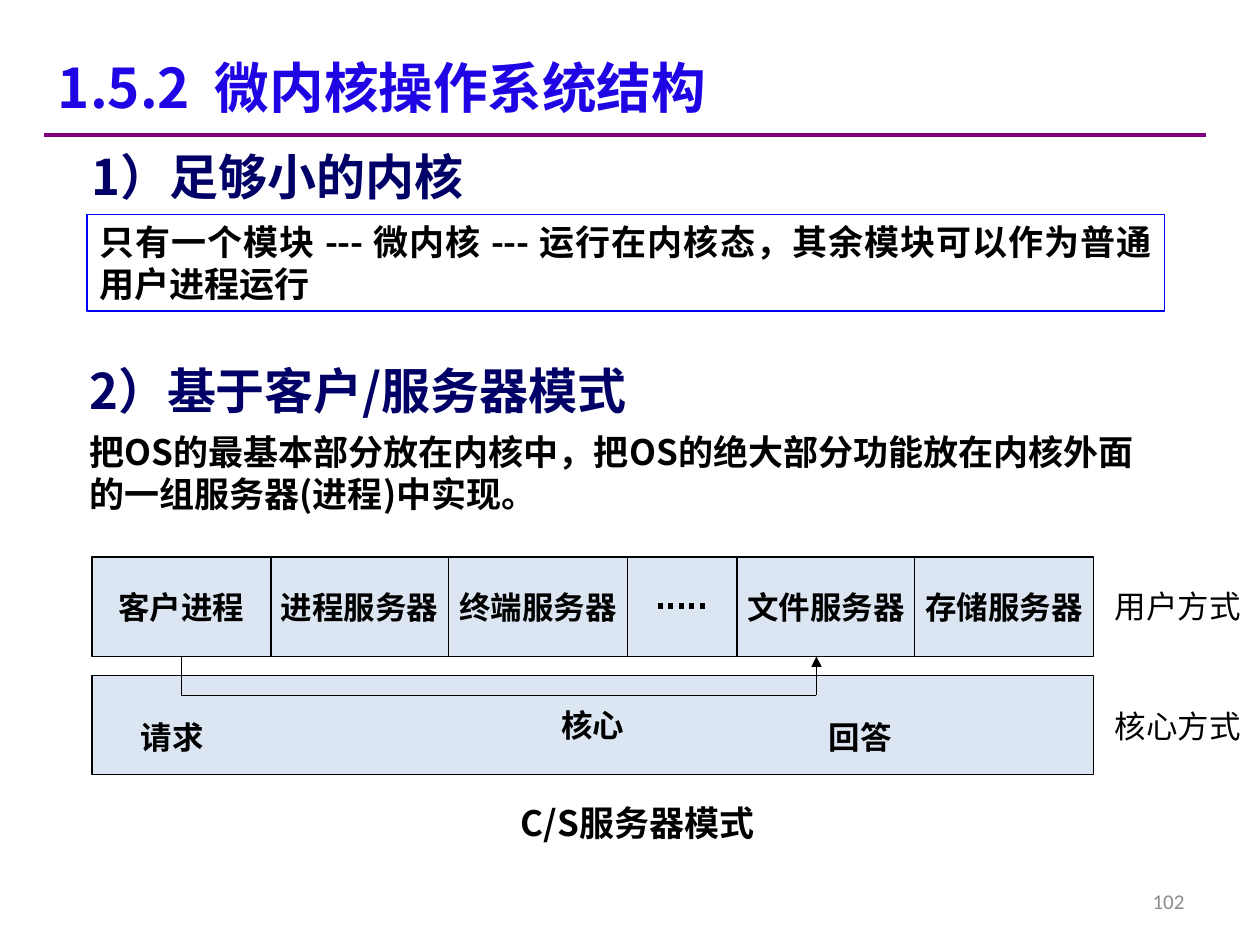
from itertools import pairwise

from lxml import etree
from pptx import Presentation
from pptx import util as u
from pptx.dml.color import RGBColor
from pptx.enum import dml, shapes, text
from pptx.oxml.ns import qn

PX = u.Inches(1) // 100  # 100 px to the inch
COLORS = {
    "title": "1F05E3",
    "heading": "000066",
    "frame": "0000FF",
    "rule": "800080",
    "box": "DCE6F2",
    "ink": "000000",
    "number": "8C8C8C",
}
CJK = "Noto Sans CJK SC"
ALIGN = text.PP_ALIGN
MIDDLE = text.MSO_ANCHOR.MIDDLE


def write(shape, words, size=18, font=CJK, color="ink", bold=True,
          align=ALIGN.LEFT, anchor=text.MSO_ANCHOR.TOP, wrap=True):
    frame = shape.text_frame
    frame.auto_size = text.MSO_AUTO_SIZE.NONE
    frame.word_wrap = wrap
    frame.vertical_anchor = anchor
    paragraph = frame.paragraphs[0]
    paragraph.alignment = align
    run = paragraph.add_run()
    run.text = words
    run.font.size = u.Pt(size)
    run.font.bold = bold
    run.font.color.rgb = RGBColor.from_string(COLORS[color])
    run.font.name = font
    east_asian = etree.SubElement(run.font._element, qn("a:ea"))
    east_asian.set("typeface", CJK)


def draw(kind, *place, fill=None, line=None, width=0.75):
    """Add a text box, rectangle or line; place is in px."""
    place = [value * PX for value in place]
    if kind == "text":
        return slide.shapes.add_textbox(*place)
    if kind == "line":
        shape = slide.shapes.add_connector(shapes.MSO_CONNECTOR.STRAIGHT, *place)
        etree.SubElement(shape._element.spPr, qn("a:effectLst"))
    else:
        shape = slide.shapes.add_shape(shapes.MSO_SHAPE.RECTANGLE, *place)
        shape.shadow.inherit = False
        if fill:
            shape.fill.solid()
            shape.fill.fore_color.rgb = RGBColor.from_string(COLORS[fill])
        else:
            shape.fill.background()
    if line:
        shape.line.color.rgb = RGBColor.from_string(COLORS[line])
        shape.line.width = u.Pt(width)
    else:
        shape.line.fill.background()
    return shape


presentation = Presentation()
presentation.slide_width = u.Inches(10)
presentation.slide_height = u.Inches(7.5)
slide = presentation.slides.add_slide(presentation.slide_layouts[5])

# Title and rule
title = slide.shapes.title
title.left, title.top, title.width, title.height = [
    value * PX for value in (36, 39, 610, 60)]
write(title, "1.5.2  微内核操作系统结构", size=31.2, color="title", anchor=MIDDLE)
draw("line", 35, 107, 957, 107, line="rule", width=2.25)

# Two points, each a heading with its explanation
for words, place in [
    ("1）足够小的内核", (63, 111, 876, 57)),
    ("2）基于客户/服务器模式", (61, 281, 868, 57)),
]:
    write(draw("text", *place), words, size=28, color="heading")
write(draw("rectangle", 69, 170, 855, 77, line="frame"),
      "只有一个模块 --- 微内核 --- 运行在内核态，其余模块可以作为普通用户进程运行",
      size=20, align=ALIGN.JUSTIFY)
write(draw("text", 61, 337, 856, 77),
      "把OS的最基本部分放在内核中，把OS的绝大部分功能放在内核外面的一组服务器(进程)中实现。",
      size=20)

# User-mode row of processes above the kernel
ROW_TOP, KERNEL_TOP, BOX_HEIGHT = 442, 536, 79
EDGES = [73, 215, 356, 498, 585, 726, 868]
PROCESSES = ["客户进程", "进程服务器", "终端服务器", "", "文件服务器", "存储服务器"]
boxes = []
for words, (left, right) in zip(PROCESSES, pairwise(EDGES)):
    box = draw("rectangle", left, ROW_TOP, right - left, BOX_HEIGHT,
               fill="box", line="ink")
    if words:
        write(box, words, font="Arial", align=ALIGN.CENTER, anchor=MIDDLE, wrap=False)
    boxes.append(box)
dots = draw("line", 522, 481, 561, 481, line="ink", width=3)
dots.line.dash_style = dml.MSO_LINE.ROUND_DOT

kernel = draw("rectangle", EDGES[0], KERNEL_TOP, EDGES[-1] - EDGES[0], BOX_HEIGHT,
              fill="box", line="ink")
write(kernel, "核心", font="Arial", align=ALIGN.CENTER, anchor=MIDDLE, wrap=False)

# Request runs from the client through the kernel to the file server
CLIENT_X, SERVER_X, MESSAGE_Y = 144, 648, 552
ROW_BOTTOM = ROW_TOP + BOX_HEIGHT
draw("line", CLIENT_X, MESSAGE_Y, SERVER_X, MESSAGE_Y, line="ink")
arrow = draw("line", SERVER_X, MESSAGE_Y, SERVER_X, ROW_BOTTOM, line="ink")
etree.SubElement(arrow.line._get_or_add_ln(), qn("a:tailEnd")).set("type", "triangle")
request = draw("line", CLIENT_X, ROW_BOTTOM, CLIENT_X, MESSAGE_Y, line="ink")
request.begin_connect(boxes[0], 2)

for words, left, width in [("请求", 102, 120), ("回答", 648, 110)]:
    write(draw("rectangle", left, 565, width, 40, fill="box"), words, font="Arial")

# Mode labels, caption and page number
for words, top in [("用户方式", 461), ("核心方式", 556)]:
    write(draw("text", 875, top, 121, 40), words, font="Arial", bold=False, wrap=False)
write(draw("text", 325, 631, 362, 43), "C/S服务器模式", size=20, align=ALIGN.CENTER)
write(draw("text", 717, 695, 233, 40), "102", size=12, font="Calibri", color="number",
      bold=False, align=ALIGN.RIGHT, anchor=MIDDLE)

presentation.save("out.pptx")
